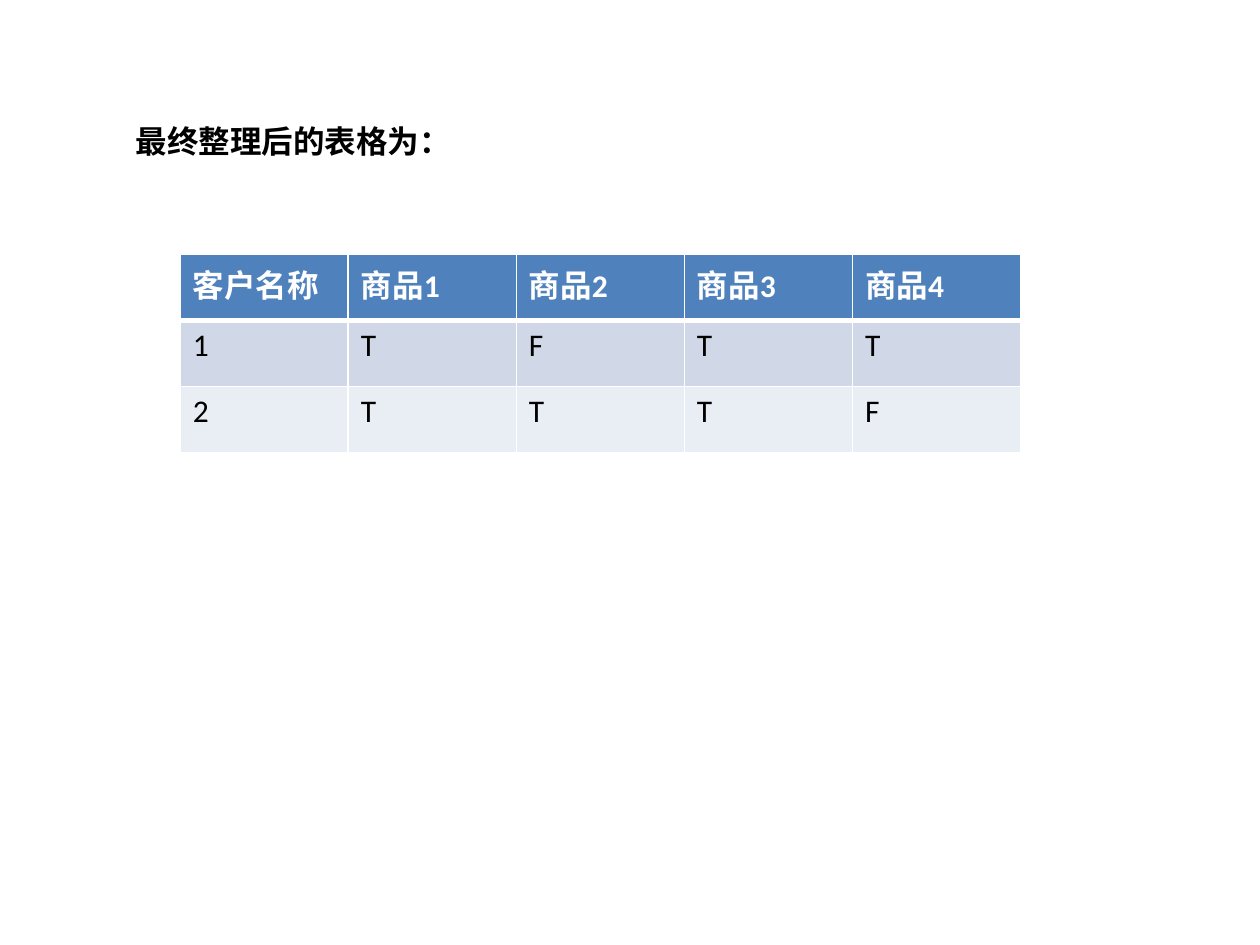
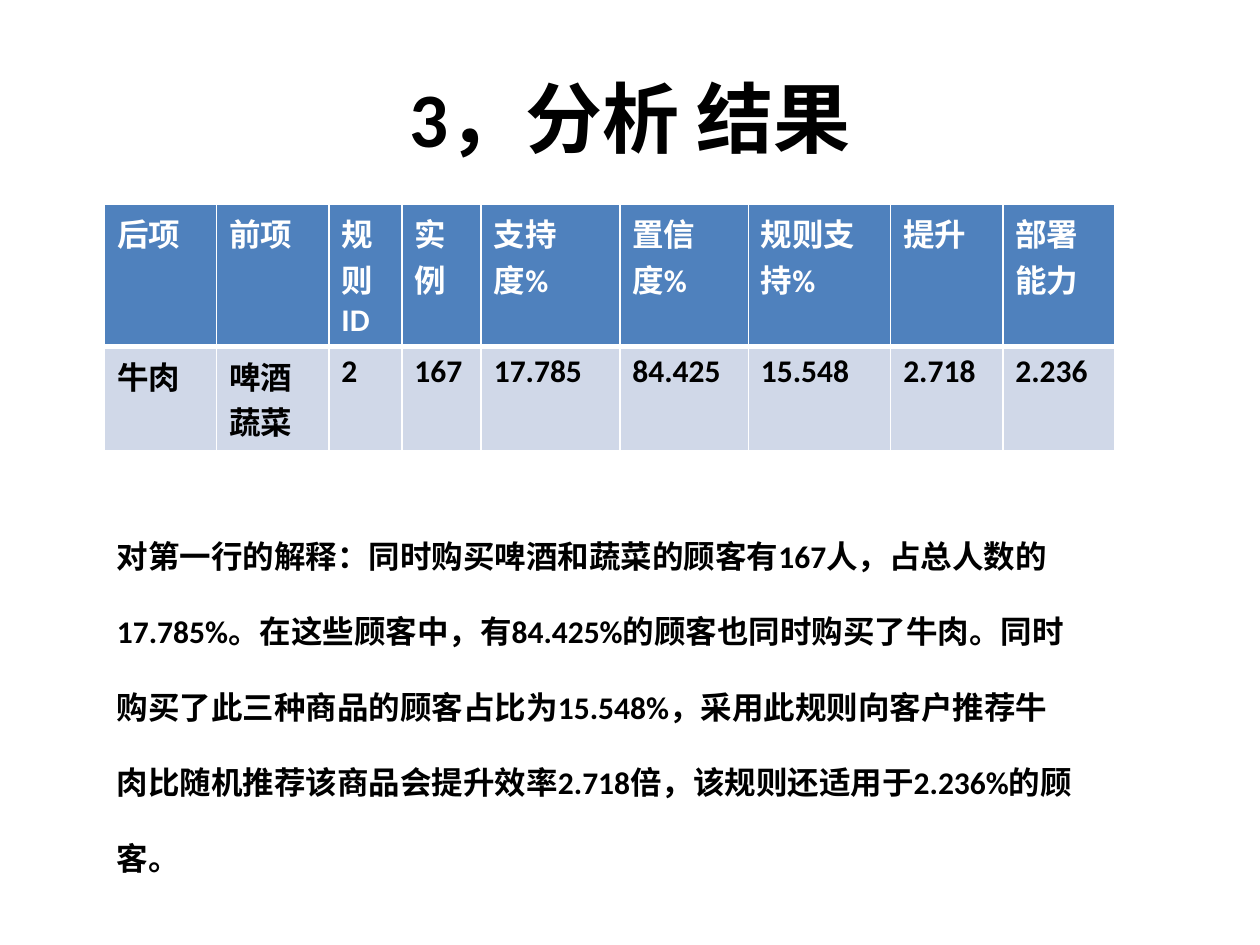
import lxml.etree
import pptx
import pptx.dml.color
import pptx.enum.text
import pptx.oxml.ns
import pptx.util

FONT = "Calibri"
BODY_SIZE = 18
TITLE_SIZE = 44
BLACK, WHITE = "000000", "FFFFFF"
HEADER_FILL = "4F81BD"
BAND_FILLS = ("D0D8E8", "E9EDF4")
THIN, THICK = 1, 3

INTRO = "最终整理后的表格为："
PURCHASES = [
    ["客户名称", "商品1", "商品2", "商品3", "商品4"],
    ["1", "T", "F", "T", "T"],
    ["2", "T", "T", "T", "F"],
]

RESULT_TITLE = "3，分析 结果"
RULES = [
    ["后项", "前项", "规则ID", "实例", "支持度%", "置信度%", "规则支持%", "提升", "部署能力"],
    ["牛肉", "啤酒\n蔬菜", "2", "167", "17.785", "84.425", "15.548", "2.718", "2.236"],
]
RULE_COLUMNS = [0.89, 0.89, 0.58, 0.63, 1.1, 1.02, 1.13, 0.89, 0.89]
RULE_ROWS = [1.13, 0.83]
EXPLANATION = (
    "对第一行的解释：同时购买啤酒和蔬菜的顾客有167人，占总人数的17.785%。"
    "在这些顾客中，有84.425%的顾客也同时购买了牛肉。"
    "同时购买了此三种商品的顾客占比为15.548%，"
    "采用此规则向客户推荐牛肉比随机推荐该商品会提升效率2.718倍，"
    "该规则还适用于2.236%的顾客。"
)


def rgb(value):
    return pptx.dml.color.RGBColor.from_string(value)


def style_paragraphs(text_frame, color=BLACK, size=BODY_SIZE, bold=True):
    for paragraph in text_frame.paragraphs:
        paragraph.font.name = FONT
        paragraph.font.size = pptx.util.Pt(size)
        paragraph.font.bold = bold
        paragraph.font.color.rgb = rgb(color)


def add_text(slide, box, text, size=BODY_SIZE, line_spacing=None):
    shape = slide.shapes.add_textbox(*map(pptx.util.Inches, box))
    shape.text_frame.word_wrap = True
    shape.text_frame.text = text
    style_paragraphs(shape.text_frame, size=size)
    shape.text_frame.paragraphs[0].line_spacing = line_spacing
    return shape


def add_title(slide, text):
    shape = add_text(slide, (0.5, 0.3, 9, 1.25), text, TITLE_SIZE)
    shape.text_frame.vertical_anchor = pptx.enum.text.MSO_ANCHOR.MIDDLE
    shape.text_frame.paragraphs[0].alignment = pptx.enum.text.PP_ALIGN.CENTER


def set_borders(cell, top, bottom):
    qualified = pptx.oxml.ns.qn
    properties = cell._tc.get_or_add_tcPr()
    sides = [("L", THIN), ("R", THIN), ("T", top), ("B", bottom)]
    for position, (side, width) in enumerate(sides):
        line = lxml.etree.Element(qualified(f"a:ln{side}"), w=str(pptx.util.Pt(width)))
        fill = lxml.etree.SubElement(line, qualified("a:solidFill"))
        lxml.etree.SubElement(fill, qualified("a:srgbClr"), val=WHITE)
        properties.insert(position, line)


def add_grid(slide, left, top, rows, widths, heights, bold_body):
    box = (left, top, sum(widths), sum(heights))
    frame = slide.shapes.add_table(len(rows), len(widths), *map(pptx.util.Inches, box))
    table = frame.table
    for column, width in zip(table.columns, widths):
        column.width = pptx.util.Inches(width)
    for row_index, (row, height) in enumerate(zip(rows, heights)):
        table.rows[row_index].height = pptx.util.Inches(height)
        header = row_index == 0
        fill = HEADER_FILL if header else BAND_FILLS[(row_index - 1) % 2]
        for column_index, text in enumerate(row):
            cell = table.cell(row_index, column_index)
            cell.text = text
            cell.fill.solid()
            cell.fill.fore_color.rgb = rgb(fill)
            set_borders(cell, top=THICK if row_index == 1 else THIN,
                        bottom=THICK if header else THIN)
            style_paragraphs(cell.text_frame, WHITE if header else BLACK,
                             bold=header or bold_body)


def main():
    presentation = pptx.Presentation()
    presentation.slide_width = pptx.util.Inches(10)
    presentation.slide_height = pptx.util.Inches(7.5)
    blank = presentation.slide_layouts[6]

    purchase_slide = presentation.slides.add_slide(blank)
    add_text(purchase_slide, (0.98, 0.92, 7.56, 0.4), INTRO)
    add_grid(purchase_slide, 1.43, 2.02, PURCHASES,
             [6.67 / 5] * 5, [1.57 / 3] * 3, bold_body=False)

    result_slide = presentation.slides.add_slide(blank)
    add_title(result_slide, RESULT_TITLE)
    add_grid(result_slide, 0.83, 1.62, RULES, RULE_COLUMNS, RULE_ROWS, bold_body=True)
    add_text(result_slide, (0.83, 3.91, 7.8, 3.04), EXPLANATION, line_spacing=2.0)

    presentation.save("out.pptx")


if __name__ == "__main__":
    main()
